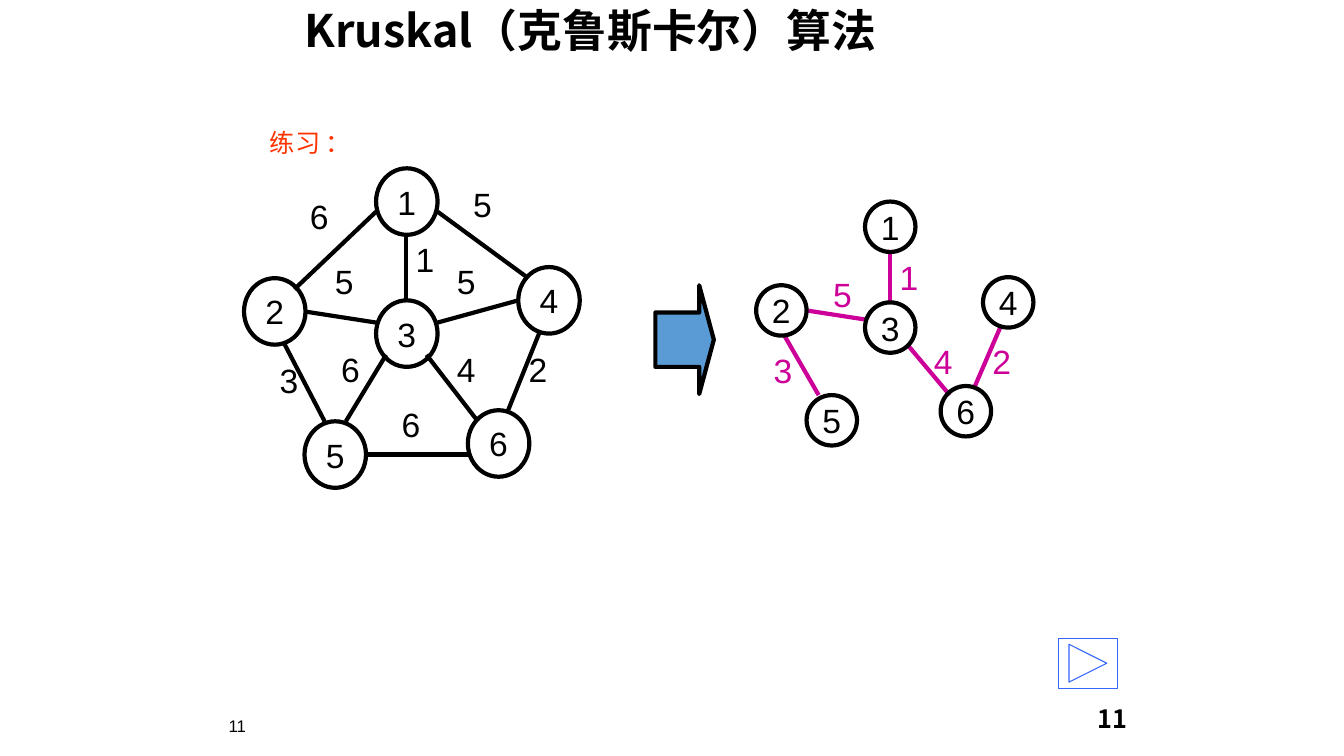
from dataclasses import dataclass
from lxml import etree
from pptx import Presentation
from pptx.dml.color import RGBColor as Rgb
from pptx.enum.shapes import MSO_CONNECTOR as Link, MSO_SHAPE as Kind
from pptx.enum.text import MSO_ANCHOR as Anchor, MSO_AUTO_SIZE as Fit, PP_ALIGN as Align
from pptx.oxml.ns import qn
from pptx.util import Inches, Pt


@dataclass(frozen=True)
class Theme:
    ink: str = "000000"
    red: str = "FF3300"
    pink: str = "CC0099"
    blue: str = "5B9BD5"
    edge: str = "3366FF"
    sans: str = "Arial"
    han: str = "Noto Sans CJK SC"
    bold: str = "Noto Sans CJK JP"
    head: int = 32
    mark: int = 24
    note: int = 18
    foot: int = 12
    thick: float = 3
    thin: float = 0.75


T = Theme()
TITLE = "Kruskal（克鲁斯卡尔）算法"
TASK = "练习 ："
PAGE = "11"

# name: (left, top); edges: (weight, start, end, label corner)
GRAPH = {
    "size": (0.61, 0.66),
    "color": T.ink,
    "nodes": {
        "1": (3.73, 1.67), "4": (5.14, 2.65), "6": (4.64, 4.07),
        "5": (3.02, 4.18), "2": (2.42, 2.76), "3": (3.73, 2.98),
    },
    "edges": [
        ("6", (3.73, 2.1), (2.92, 2.87), (2.97, 1.89)),
        ("3", (2.82, 3.41), (3.22, 4.18), (2.67, 3.52)),
        ("6", (3.63, 4.51), (4.64, 4.51), (3.88, 3.96)),
        ("2", (5.35, 3.3), (5.04, 4.07), (5.14, 3.41)),
        ("5", (4.34, 2.1), (5.24, 2.76), (4.59, 1.78)),
        ("1", (4.03, 2.32), (4.03, 2.98), (4.02, 2.32)),
        ("6", (3.83, 3.52), (3.43, 4.18), (3.28, 3.41)),
        ("4", (4.23, 3.52), (4.74, 4.18), (4.43, 3.41)),
        ("5", (4.34, 3.2), (5.14, 2.98), (4.43, 2.54)),
        ("5", (3.02, 3.09), (3.73, 3.2), (3.22, 2.54)),
    ],
}
TREE = {
    "size": (0.5, 0.5),
    "color": T.pink,
    "nodes": {
        "1": (8.58, 2), "3": (8.58, 3), "5": (8, 3.92),
        "2": (7.5, 2.83), "4": (9.75, 2.75), "6": (9.33, 3.83),
    },
    "edges": [
        ("1", (8.83, 2.5), (8.83, 3), (8.82, 2.5)),
        ("5", (8, 3.08), (8.58, 3.17), (8.16, 2.67)),
        ("4", (9, 3.42), (9.42, 3.92), (9.16, 3.33)),
        ("3", (7.78, 3.33), (8.12, 3.92), (7.57, 3.42)),
        ("2", (9.92, 3.25), (9.67, 3.83), (9.74, 3.33)),
    ],
}


def box(*nums):
    return [Inches(n) for n in nums]


def write(shape, text, size, color=T.ink, font=T.sans, han=T.han, bold=False,
          align=Align.CENTER, anchor=Anchor.MIDDLE, wrap=True):
    frame = shape.text_frame
    frame.text = text
    frame.word_wrap = wrap
    frame.auto_size = Fit.NONE
    frame.vertical_anchor = anchor
    para = frame.paragraphs[0]
    para.alignment = align
    for run in para.runs:
        run.font.size = Pt(size)
        run.font.bold = bold
        run.font.name = font
        run.font.color.rgb = Rgb.from_string(color)
        east = etree.SubElement(run.font._element, qn("a:ea"))
        east.set("typeface", han)
    return para


def draw(home, kind, place, line, width, fill=None):
    shape = home.add_shape(kind, *box(*place))
    shape.shadow.inherit = False
    if fill:
        shape.fill.solid()
        shape.fill.fore_color.rgb = Rgb.from_string(fill)
    else:
        shape.fill.background()
    shape.line.color.rgb = Rgb.from_string(line)
    shape.line.width = Pt(width)
    return shape


def join(home, start, end, color):
    line = home.add_connector(Link.STRAIGHT, *box(*start, *end))
    line.line.color.rgb = Rgb.from_string(color)
    line.line.width = Pt(T.thick)
    etree.SubElement(line._element.spPr, qn("a:effectLst"))


def plot(slide, net):
    home = slide.shapes.add_group_shape().shapes
    for weight, start, end, spot in net["edges"]:
        join(home, start, end, net["color"])
        label = home.add_textbox(*box(*spot, 0.39, 0.5))
        write(label, weight, T.mark, net["color"], anchor=Anchor.TOP, wrap=False)
    for name, spot in net["nodes"].items():
        node = draw(home, Kind.OVAL, spot + net["size"], T.ink, T.thick)
        write(node, name, T.mark, wrap=False)


def main():
    deck = Presentation()
    deck.slide_width, deck.slide_height = box(13.33, 7.5)
    slide = deck.slides.add_slide(deck.slide_layouts[5])
    shapes = slide.shapes

    title = shapes.title
    title.left, title.top, title.width, title.height = box(2.92, 0, 6.58, 0.65)
    para = write(title, TITLE, T.head, font=T.han, bold=True, align=Align.LEFT)
    para.line_spacing = 0.9

    task = shapes.add_textbox(*box(2.17, 1.08, 1.82, 0.67))
    write(task, TASK, T.note, T.red)
    right = shapes.add_textbox(*box(8.95, 6.83, 2.33, 0.5))
    write(right, PAGE, T.note, font=T.bold, han=T.bold, bold=True,
          align=Align.RIGHT, anchor=Anchor.BOTTOM)
    left = shapes.add_textbox(*box(2.17, 6.83, 2.33, 0.52))
    write(left, PAGE, T.foot, align=Align.LEFT, anchor=Anchor.BOTTOM)

    plot(slide, GRAPH)
    plot(slide, TREE)

    arrow = draw(shapes, Kind.RIGHT_ARROW, (6.5, 2.83, 0.58, 1.08), T.ink, T.thick, T.blue)
    arrow.adjustments[0] = 0.5
    arrow.adjustments[1] = 0.25
    draw(shapes, Kind.ACTION_BUTTON_FORWARD_OR_NEXT, (10.5, 6.33, 0.58, 0.5), T.edge, T.thin)

    deck.save("out.pptx")


if __name__ == "__main__":
    main()
